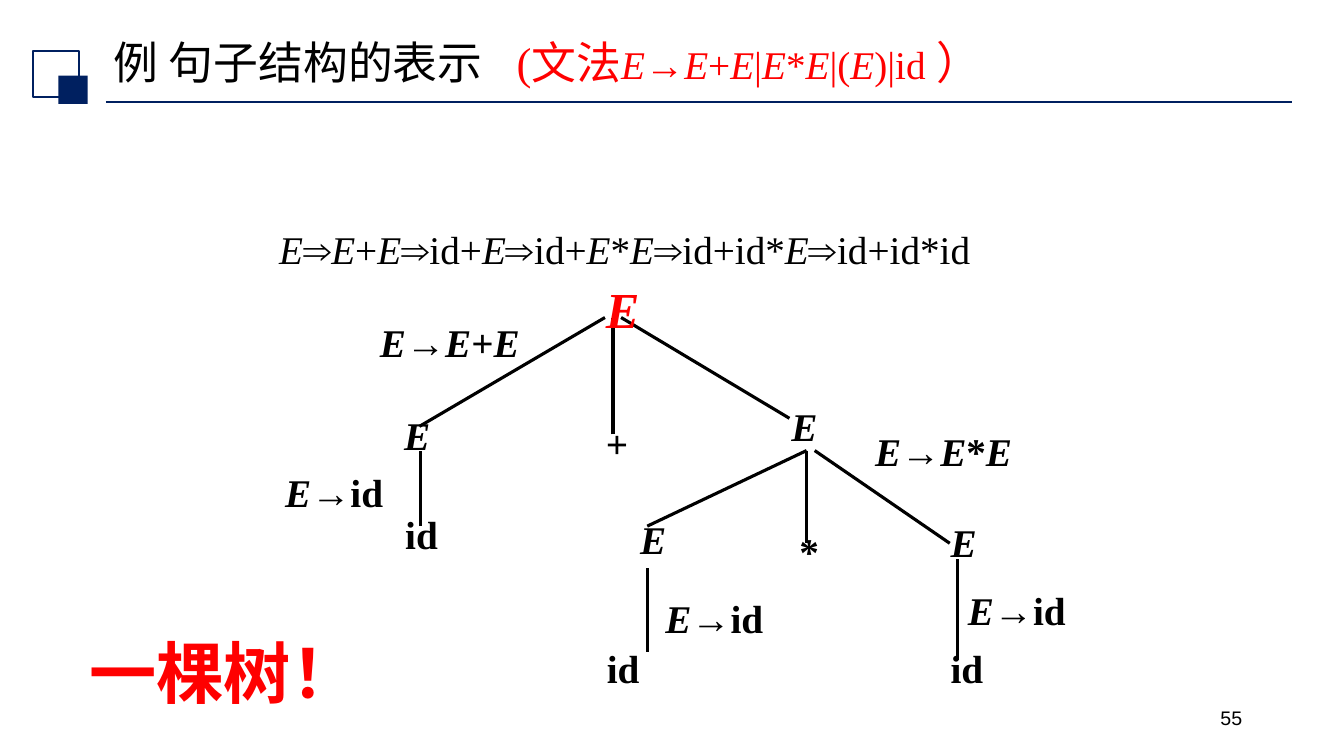
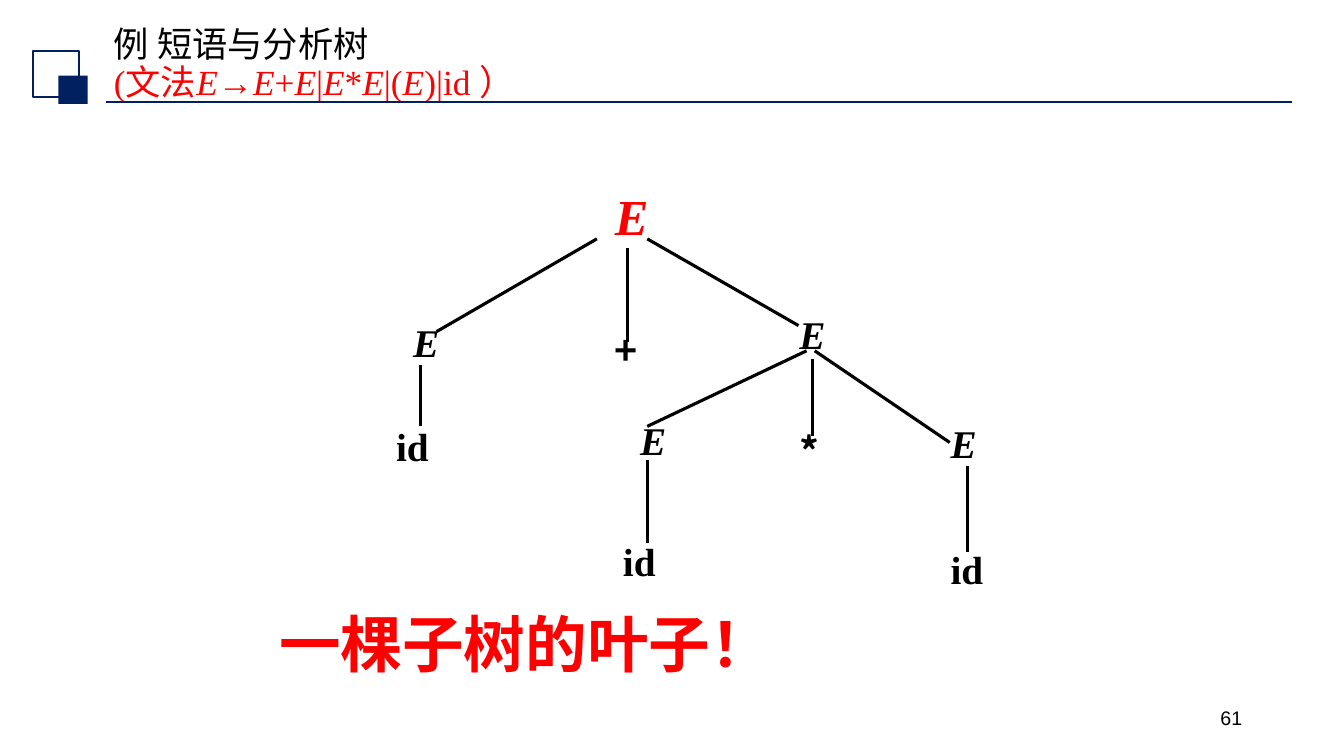
"""Build two slides that show a sentence of a grammar as a parse tree."""
import itertools

import lxml.etree
import pptx
import pptx.dml.color
import pptx.enum.shapes
import pptx.enum.text
import pptx.oxml.ns
import pptx.util

Inches = pptx.util.Inches
Pt = pptx.util.Pt
NAVY = pptx.dml.color.RGBColor(0x00, 0x20, 0x60)
RED = pptx.dml.color.RGBColor(0xFF, 0x00, 0x00)
BLACK = pptx.dml.color.RGBColor(0x00, 0x00, 0x00)
ROMAN = "Times New Roman"
HAN = "Noto Sans CJK SC"
RULES = "E→E+E|E*E|(E)|id"


def write(para, text, size, color=BLACK, face=ROMAN, bold=False):
    """Add text to a paragraph with every E in italics."""
    for sloped, chars in itertools.groupby(text, lambda char: char == "E"):
        run = para.add_run()
        run.text = "".join(chars)
        font = run.font
        font.size, font.name = Pt(size), face
        font.bold, font.italic = bold, sloped
        font.color.rgb = color
        east = lxml.etree.SubElement(run._r.get_or_add_rPr(), pptx.oxml.ns.qn("a:ea"))
        east.set("typeface", HAN)


def draw(slide, start, end, color, width):
    """Add a straight line between two points."""
    ends = [Inches(value) for value in start + end]
    line = slide.shapes.add_connector(pptx.enum.shapes.MSO_CONNECTOR.STRAIGHT, *ends)
    line.line.color.rgb = color
    line.line.width = Pt(width)
    lxml.etree.SubElement(line._element.spPr, pptx.oxml.ns.qn("a:effectLst"))


pages = [
    {
        "number": "55",
        "title": [
            [("例 句子结构的表示", 32, BLACK, HAN), ("　", 24, BLACK, HAN),
             ("(文法", 32, RED), (RULES, 28, RED), (" ）", 32, RED)],
        ],
        "root": (5.91, 2.65),
        "nodes": [
            ("E", 3.91, 3.98), ("+", 5.91, 4.06), ("E", 7.75, 3.9),
            ("id", 3.92, 4.97), ("E", 6.25, 5.02), ("*", 7.83, 5.14),
            ("E", 9.33, 5.05), ("id", 5.92, 6.3), ("id", 9.33, 6.3),
            ("E→E+E", 3.67, 3.06, 1.74), ("E→E*E", 8.58, 4.14, 1.58),
            ("E→id", 2.73, 4.55, 1.27), ("E→id", 6.5, 5.8, 1.35),
            ("E→id", 9.5, 5.72),
        ],
        "signs": ROMAN,
        "edges": [
            ((4.16, 4.23), (6, 3.15)), ((7.83, 4.15), (6.16, 3.15)),
            ((6.08, 4.31), (6.08, 3.15)), ((4.17, 5.22), (4.17, 4.47)),
            ((6.42, 5.22), (8, 4.47)), ((8, 4.47), (8, 5.39)),
            ((8.08, 4.47), (9.42, 5.39)), ((6.42, 5.64), (6.42, 6.47)),
            ((9.5, 5.55), (9.5, 6.55)),
        ],
        "notes": [
            (2.67, 2.14, 8.25, 0.58, "E⇒E+E⇒id+E⇒id+E*E⇒id+id*E⇒id+id*id", 28),
            (0.79, 6.13, 3, 0.93, "一棵树！", 48, RED, HAN, True),
        ],
    },
    {
        "number": "61",
        "title": [
            [("例 短语与分析树", 25.2)],
            [("(文法" + RULES + " ）", 25.2, RED)],
        ],
        "root": (6, 1.73),
        "nodes": [
            ("E", 4, 3.06), ("+", 6, 3.14), ("E", 7.83, 2.98),
            ("id", 3.83, 4.09), ("E", 6.25, 4.03), ("*", 7.83, 4.14),
            ("E", 9.33, 4.06), ("id", 6.08, 5.23), ("id", 9.33, 5.31),
        ],
        "signs": HAN,
        "edges": [
            ((4.33, 3.29), (5.92, 2.37)), ((7.92, 3.23), (6.42, 2.37)),
            ((6.22, 3.39), (6.22, 2.46)), ((4.17, 4.23), (4.17, 3.62)),
            ((6.42, 4.23), (8, 3.48)), ((8.06, 3.56), (8.06, 4.33)),
            ((8.08, 3.48), (9.42, 4.39)), ((6.42, 4.56), (6.42, 5.39)),
            ((9.6, 4.62), (9.6, 5.48)),
        ],
        "notes": [
            (2.67, 5.89, 7.33, 0.86, "一棵子树的叶子！", 44, RED, HAN, True),
        ],
    },
]

deck = pptx.Presentation()
deck.slide_width, deck.slide_height = Inches(13.33), Inches(7.5)

for page in pages:
    slide = deck.slides.add_slide(deck.slide_layouts[5])

    draw(slide, (1.05, 1.01), (12.81, 1.01), NAVY, 1.25)
    for place, solid in (((0.33, 0.51, 0.45, 0.45), False), ((0.58, 0.75, 0.29, 0.28), True)):
        square = slide.shapes.add_shape(
            pptx.enum.shapes.MSO_SHAPE.RECTANGLE, *[Inches(value) for value in place])
        square.shadow.inherit = False
        if solid:
            square.fill.solid()
            square.fill.fore_color.rgb = NAVY
            square.line.fill.background()
        else:
            square.fill.background()
            square.line.color.rgb = NAVY
            square.line.width = Pt(1.5)

    title = slide.shapes.title
    title.left, title.top = Inches(1.03), Inches(0.34)
    title.width, title.height = Inches(11.5), Inches(0.61)
    frame = title.text_frame
    frame.auto_size = pptx.enum.text.MSO_AUTO_SIZE.NONE
    frame.vertical_anchor = pptx.enum.text.MSO_ANCHOR.MIDDLE
    para = frame.paragraphs[0]
    para.alignment = pptx.enum.text.PP_ALIGN.LEFT
    para.line_spacing = 0.9
    for index, row in enumerate(page["title"]):
        if index:
            para.add_line_break()
        for part in row:
            write(para, *part)

    for start, end in page["edges"]:
        draw(slide, start, end, BLACK, 2.25)

    texts = [(*page["root"], 1.25, 0.72, "E", 36, RED, ROMAN, True)]
    for text, left, top, *width in page["nodes"]:
        face = page["signs"] if text in "+*" else ROMAN
        wide = width[0] if width else 1.25
        texts.append((left, top, wide, 0.58, text, 28, BLACK, face, True))
    for left, top, wide, high, *style in texts + page["notes"]:
        box = slide.shapes.add_textbox(Inches(left), Inches(top), Inches(wide), Inches(high))
        box.text_frame.word_wrap = True
        para = box.text_frame.paragraphs[0]
        para.line_spacing = 1.1
        write(para, *style)

    box = slide.shapes.add_textbox(Inches(9.42), Inches(6.95), Inches(3), Inches(0.4))
    box.text_frame.word_wrap = True
    para = box.text_frame.paragraphs[0]
    para.alignment = pptx.enum.text.PP_ALIGN.RIGHT
    write(para, page["number"], 14, BLACK, "Arial")

deck.save("out.pptx")
